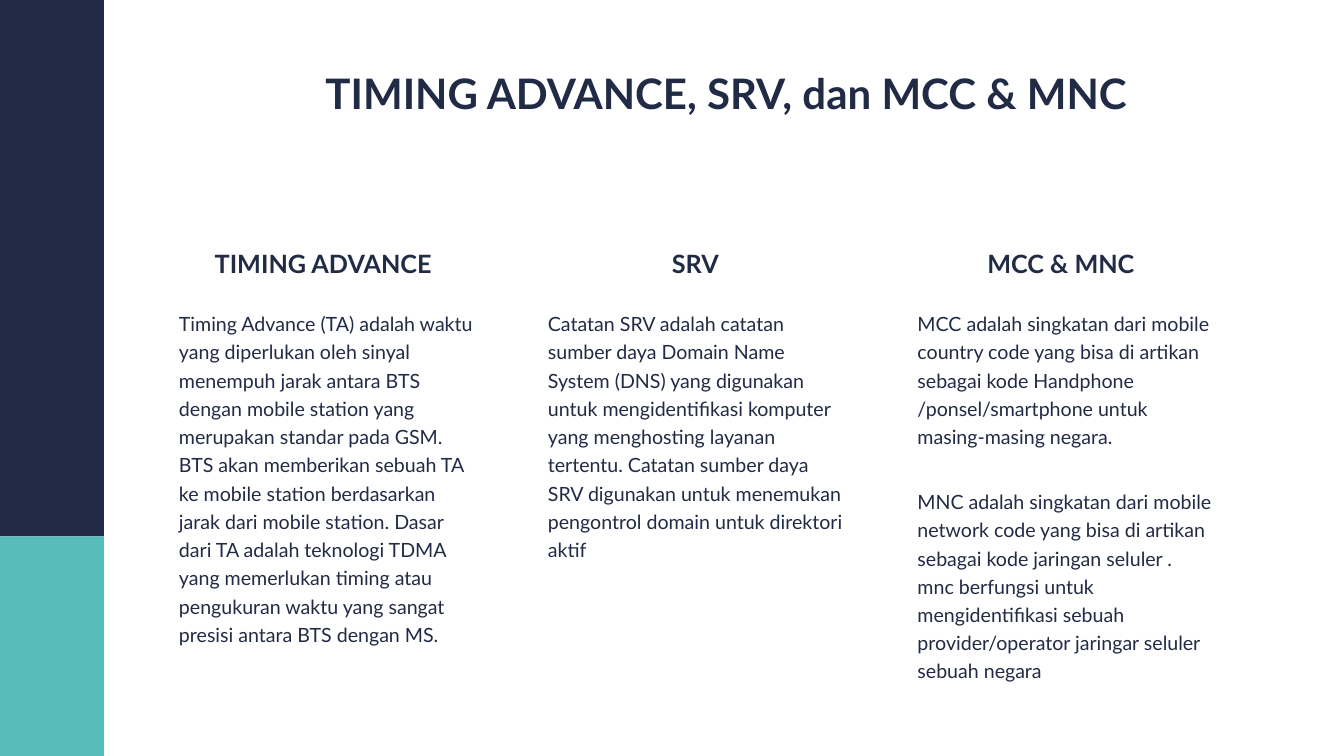
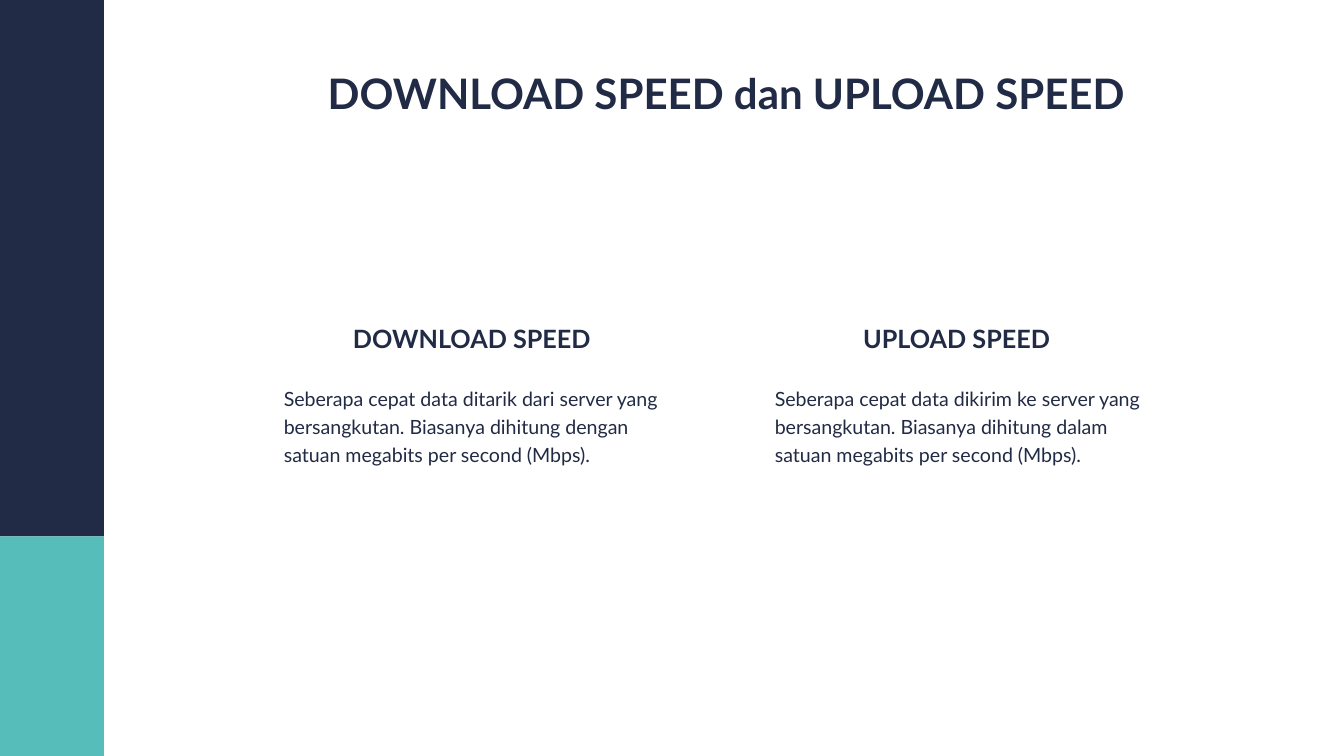
"""Builds two slides that explain mobile network terms in columns."""
from pptx import Presentation
from pptx.dml.color import RGBColor
from pptx.enum.shapes import MSO_SHAPE
from pptx.enum.text import MSO_ANCHOR, MSO_AUTO_SIZE, PP_ALIGN
from pptx.util import Cm, Pt

NAVY = RGBColor(0x22, 0x2B, 0x45)
TEAL = RGBColor(0x57, 0xBD, 0xBA)
RECT = MSO_SHAPE.RECTANGLE
TOP = MSO_ANCHOR.TOP
GROW = MSO_AUTO_SIZE.SHAPE_TO_FIT_TEXT
LEFT, MID = PP_ALIGN.LEFT, PP_ALIGN.CENTER

BANDS = [(0, 27.03, NAVY), (27.03, 11.07, TEAL)]
BAND_W = 5.23
HEAD_H = 1.8
DROP = 2.79
GAP = Pt(52.5)

TITLE = {"font": {"size": Pt(60), "bold": True}, "para": {"alignment": MID}}
HEAD = {"font": {"size": Pt(36), "bold": True}, "para": {"alignment": MID}}
BODY = {
    "font": {"size": Pt(28), "bold": False},
    "para": {"alignment": LEFT, "line_spacing": 1.2, "space_before": Pt(5.6)},
    "frame": {"margin_left": Cm(0.61), "margin_right": Cm(0.61),
              "margin_top": Cm(0.3), "margin_bottom": Cm(0.3)},
}

SLIDES = [
    ("TIMING ADVANCE, SRV, dan MCC & MNC", 12.4, [
        ("TIMING ADVANCE", (8.41, 15.75), (8.41, 16.08, 17.7), [
            "Timing Advance (TA) adalah waktu yang diperlukan oleh sinyal "
            "menempuh jarak antara BTS dengan mobile station yang merupakan "
            "standar pada GSM. BTS akan memberikan sebuah TA ke mobile station "
            "berdasarkan jarak dari mobile station. Dasar dari TA adalah "
            "teknologi TDMA yang memerlukan timing atau pengukuran waktu yang "
            "sangat presisi antara BTS dengan MS."]),
        ("SRV", (27, 16.08), (27, 16.08, 13.54), [
            "Catatan SRV adalah catatan sumber daya Domain Name System (DNS) "
            "yang digunakan untuk mengidentifikasi komputer yang menghosting "
            "layanan tertentu. Catatan sumber daya SRV digunakan untuk "
            "menemukan pengontrol domain untuk direktori aktif"]),
        ("MCC & MNC", (45.95, 15.01), (45.62, 16.08, 19.63), [
            "MCC adalah singkatan dari mobile country code yang bisa di artikan "
            "sebagai kode Handphone /ponsel/smartphone untuk masing-masing "
            "negara.",
            "MNC adalah singkatan dari mobile network code yang bisa di artikan "
            "sebagai kode jaringan seluler . mnc berfungsi untuk "
            "mengidentifikasi sebuah provider/operator jaringar seluler sebuah "
            "negara"]),
    ]),
    ("DOWNLOAD SPEED dan UPLOAD SPEED", 16.15, [
        ("DOWNLOAD SPEED", (13.69, 20.17), (13.69, 20.57, 4.93), [
            "Seberapa cepat data ditarik dari server yang bersangkutan. "
            "Biasanya dihitung dengan satuan megabits per second (Mbps)."]),
        ("UPLOAD SPEED", (38.99, 18.42), (38.43, 19.69, 6.35), [
            "Seberapa cepat data dikirim ke server yang bersangkutan. "
            "Biasanya dihitung dalam satuan megabits per second (Mbps)."]),
    ]),
]


def write(shape, lines, style):
    """Fill a shape with paragraphs in one style."""
    frame = shape.text_frame
    frame.text = "\n".join(lines)
    base = {"word_wrap": True, "auto_size": GROW, "vertical_anchor": TOP}
    for key, val in (base | style.get("frame", {})).items():
        setattr(frame, key, val)
    for para in frame.paragraphs:
        for key, val in style["para"].items():
            setattr(para, key, val)
        for run in para.runs:
            for key, val in ({"name": "Lato"} | style["font"]).items():
                setattr(run.font, key, val)
            run.font.color.rgb = NAVY
    for para in frame.paragraphs[1:]:
        para.space_before = GAP


deck = Presentation()
deck.slide_width, deck.slide_height = Cm(67.72), Cm(38.1)

for name, top, cols in SLIDES:
    slide = deck.slides.add_slide(deck.slide_layouts[5])
    shapes = slide.shapes

    for y, high, tint in BANDS:
        band = shapes.add_shape(RECT, 0, Cm(y), Cm(BAND_W), Cm(high))
        band.shadow.inherit = False
        band.fill.solid()
        band.fill.fore_color.rgb = tint
        band.line.fill.background()

    title = shapes.title
    place = {"left": 7.14, "top": 3.28, "width": 58.9, "height": 2.82}
    for key, val in place.items():
        setattr(title, key, Cm(val))
    write(title, [name], TITLE)

    for head, (x, wide), (left, width, high), lines in cols:
        box = shapes.add_textbox(Cm(left), Cm(top + DROP), Cm(width), Cm(high))
        write(box, lines, BODY)
        box = shapes.add_textbox(Cm(x), Cm(top), Cm(wide), Cm(HEAD_H))
        write(box, [head], HEAD)

deck.save("out.pptx")
